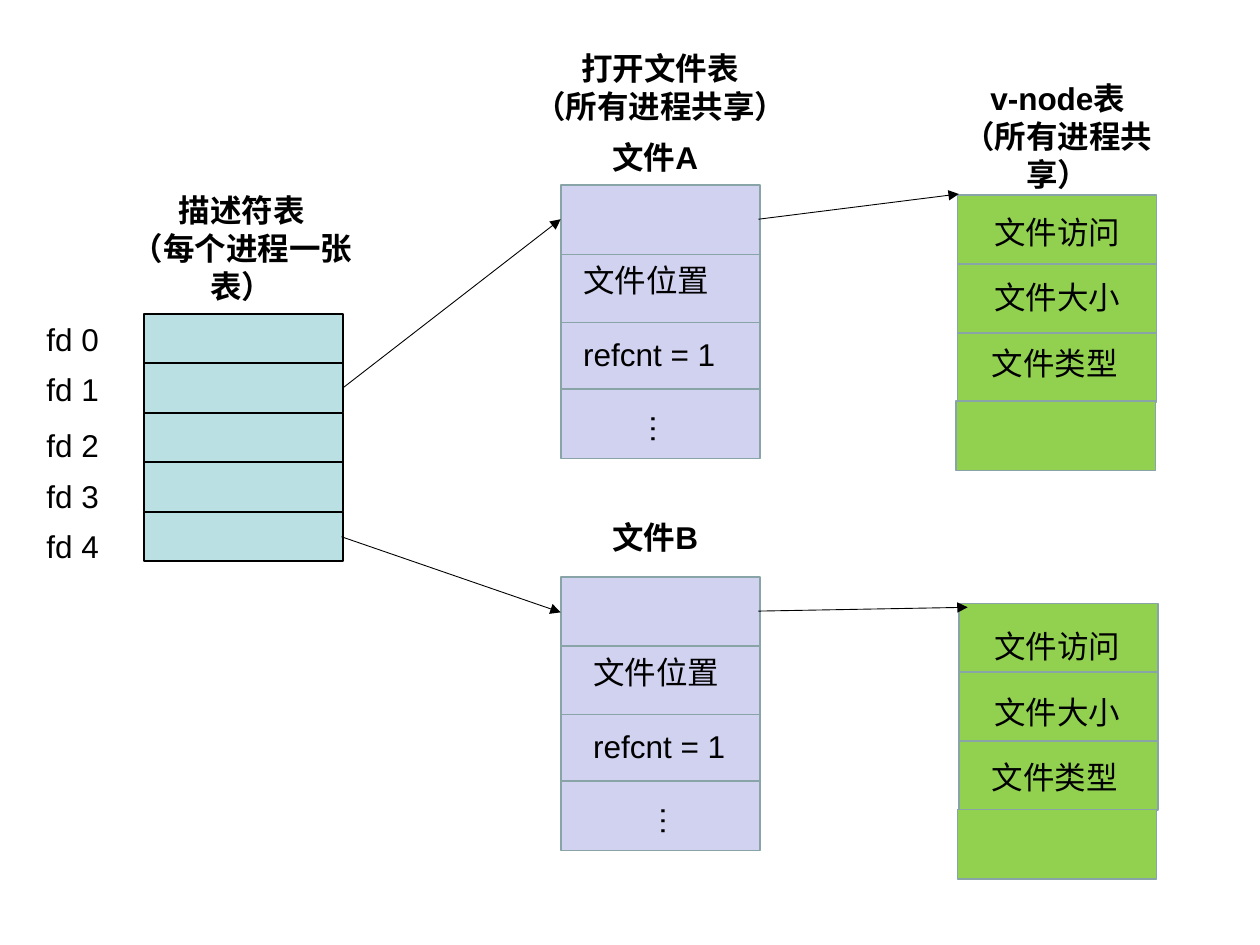
from lxml.etree import SubElement as Sub
from pptx import Presentation
from pptx.dml.color import RGBColor as RGB
from pptx.enum.shapes import MSO_CONNECTOR as Link, MSO_SHAPE as Shape
from pptx.enum.text import MSO_AUTO_SIZE as Fit, PP_ALIGN as Align
from pptx.oxml.ns import qn
from pptx.util import Inches, Pt

theme = {
    "font": "Arial",
    "size": Pt(18),
    "ink": RGB.from_string("000000"),
    "edge": RGB.from_string("89A4A7"),
    "teal": RGB.from_string("BBE0E3"),
    "lilac": RGB.from_string("D1D1F0"),
    "green": RGB.from_string("92D050"),
}

deck = Presentation()
deck.slide_width, deck.slide_height = Inches(10), Inches(7.5)
slide = deck.slides.add_slide(deck.slide_layouts[6])
shapes = slide.shapes


def write(text, x, y, w, h=0.4, bold=False, align=Align.CENTER, tall=False):
    frame = shapes.add_textbox(Inches(x), Inches(y), Inches(w), Inches(h)).text_frame
    frame.word_wrap = True
    frame.auto_size = Fit.SHAPE_TO_FIT_TEXT
    side, top = (0.05, 0.1) if tall else (0.1, 0.05)
    frame.margin_left = frame.margin_right = Inches(side)
    frame.margin_top = frame.margin_bottom = Inches(top)
    if tall:
        frame._txBody.bodyPr.set("vert", "eaVert")
    frame.text = text
    for para in frame.paragraphs:
        para.alignment = align
        for run in para.runs:
            run.font.name = theme["font"]
            run.font.size = theme["size"]
            run.font.bold = bold
            run.font.color.rgb = theme["ink"]


def cell(x, y, h, fill, line):
    box = shapes.add_shape(Shape.RECTANGLE, Inches(x), Inches(y), Inches(1.58), Inches(h))
    box.shadow.inherit = False
    box.fill.solid()
    box.fill.fore_color.rgb = theme[fill]
    box.line.color.rgb = theme[line]
    box.line.width = Pt(1)


write("描述符表\n（每个进程一张表）", 0.7, 1.47, 2.44, 1, bold=True)
for row, y in enumerate([2.49, 2.89, 3.33, 3.74, 4.13]):
    cell(1.14, 2.49 + row * 0.393, 0.39, "teal", "ink")
    write(f"fd {row}", 0.27, y, 0.71, align=Align.LEFT)

write("打开文件表\n（所有进程共享）", 3.98, 0.34, 2.52, 0.7, bold=True)
for name, head, top, left in [("文件A", 1.05, 1.47, 4.53), ("文件B", 4.06, 4.58, 4.61)]:
    write(name, 4.53, head, 1.34, bold=True)
    for step in [0, 0.55, 1.09, 1.62]:
        cell(4.45, top + step, 0.55, "lilac", "edge")
    write("文件位置", left, top + 0.55, 1.34, align=Align.LEFT)
    write("refcnt = 1", left, top + 1.14, 1.34, align=Align.LEFT)
    write("…", left + 0.44, top + 1.71, 0.5, 0.45, align=Align.LEFT, tall=True)

write("v-node表\n（所有进程共享）", 7.33, 0.58, 2.13, 1, bold=True)
for left, top, first in [(7.6, 1.55, 1.64), (7.61, 4.79, 4.93)]:
    for row in range(4):
        cell(left - (0.01 if row == 3 else 0), top + row * 0.545, 0.55, "green", "edge")
    for row, text in enumerate(["文件访问", "文件大小", "文件类型"]):
        write(text, 7.59 if row == 2 else 7.61, first + row * 0.52, 1.56)

for ends in [
    (2.72, 3.08, 4.45, 1.74),
    (2.71, 4.26, 4.45, 4.86),
    (6.02, 1.74, 7.61, 1.54),
    (6.02, 4.85, 7.68, 4.82),
]:
    arrow = shapes.add_connector(Link.STRAIGHT, *map(Inches, ends))
    arrow.line.color.rgb = theme["ink"]
    arrow.line.width = Pt(0.5)
    Sub(arrow.line._get_or_add_ln(), qn("a:tailEnd"), type="triangle")
    Sub(arrow._element.spPr, qn("a:effectLst"))

deck.save("out.pptx")
